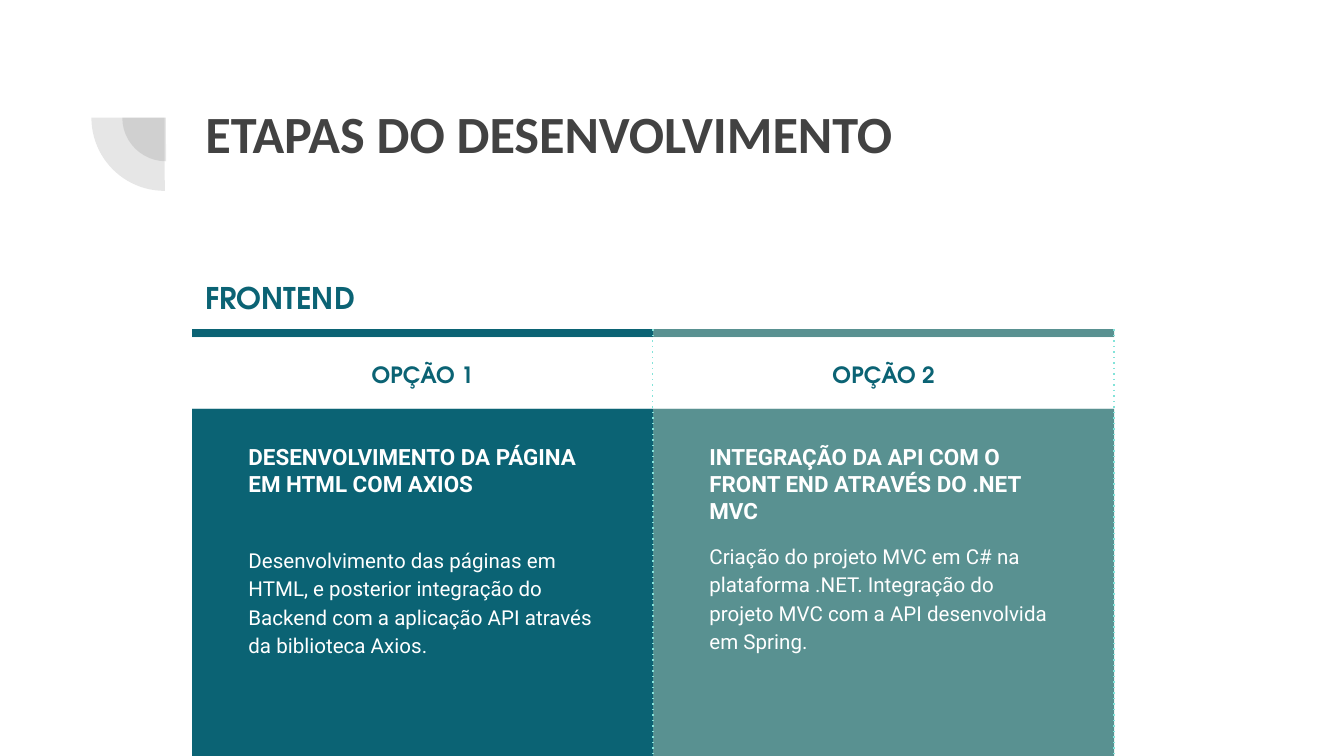
"""Builds the development stages slide with two frontend options."""
from lxml.etree import SubElement
from pptx import Presentation
from pptx.dml.color import RGBColor as RGB
from pptx.enum.shapes import MSO_CONNECTOR as Conn, MSO_SHAPE as Shape
from pptx.enum.text import MSO_ANCHOR as Anchor, PP_ALIGN as Align
from pptx.oxml.ns import qn
from pptx.util import Inches, Pt

COLORS = {"gray": "424242", "teal": "0B6374", "sage": "599191", "mint": "83E3D9", "white": "FFFFFF"}
HEAD, BODY = "TeX Gyre Adventor", "Roboto"
WIDTH = 10
HEIGHT = WIDTH * 9 / 16
LEFT, COL, PAD = 1.43, 3.43, 0.32
BAR_TOP, HEAD_TOP, PANEL_TOP, PANEL_END = 2.45, 2.51, 3.04, 5.64
OPTIONS = [
    ("OPÇÃO 1", "teal", "DESENVOLVIMENTO DA PÁGINA EM HTML COM AXIOS", 3.95, 16,
     "Desenvolvimento das páginas em HTML, e posterior integração do Backend "
     "com a aplicação API através da biblioteca Axios."),
    ("OPÇÃO 2", "sage", "INTEGRAÇÃO DA API COM O FRONT END ATRAVÉS DO .NET MVC", 3.92, 0,
     "Criação do projeto MVC em C# na plataforma .NET. Integração do projeto "
     "MVC com a API desenvolvida em Spring."),
]

prs = Presentation()
prs.slide_width, prs.slide_height = Inches(WIDTH), Inches(HEIGHT)
s = prs.slides.add_slide(prs.slide_layouts[6])


def add_block(x, y, w, h, color=None, kind=Shape.RECTANGLE):
    box = [Inches(v) for v in (x, y, w, h)]
    if color is None:
        return s.shapes.add_textbox(*box)
    sp = s.shapes.add_shape(kind, *box)
    sp.shadow.inherit = False
    sp.fill.solid()
    sp.fill.fore_color.rgb = RGB.from_string(COLORS[color])
    sp.line.fill.background()
    return sp


def write(sp, text, size, font, color, bold=True, spacing=None):
    tf = sp.text_frame
    tf.word_wrap = True
    tf.margin_left = tf.margin_right = tf.margin_top = tf.margin_bottom = Inches(0.1)
    p = tf.paragraphs[0]
    p.line_spacing = spacing
    r = p.add_run()
    r.text = text
    r.font.size, r.font.name, r.font.bold = Pt(size), font, bold
    r.font.color.rgb = RGB.from_string(COLORS[color])
    return p


for x, y, size in ((0.91, 0.55, 0.65), (0.68, 0.33, 1.09)):
    sp = add_block(x, y, size, size, "gray", Shape.PIE)
    sp.rotation = 270
    sp.adjustments[0], sp.adjustments[1] = 107.93, 162
    fill = sp.fill.fore_color._xFill.find(qn("a:srgbClr"))
    SubElement(fill, qn("a:alpha")).set("val", "13000")

write(add_block(LEFT, 0.65, 7.69, 1.09), "ETAPAS DO DESENVOLVIMENTO", 28, "Calibri", "gray")

for i, (label, color, heading, body_top, after, body) in enumerate(OPTIONS):
    x = LEFT + i * COL
    inner, inner_w = x + PAD, COL - 2 * PAD
    add_block(x, PANEL_TOP, COL, PANEL_END - PANEL_TOP, color)
    add_block(x, BAR_TOP, COL, HEAD_TOP - BAR_TOP, color)
    write(add_block(inner, 3.2, inner_w, 0.9), heading, 12, BODY, "white")
    sp = add_block(inner, body_top, inner_w, 5.36 - body_top)
    p = write(sp, body, 11, BODY, "white", False, 1.15)
    p.space_after = Pt(after)

for i, option in enumerate(OPTIONS):
    x = LEFT + i * COL
    sp = add_block(x, HEAD_TOP, COL, PANEL_TOP - HEAD_TOP, "white")
    p = write(sp, option[0], 12, HEAD, "teal", spacing=1.15)
    p.alignment = Align.CENTER
    sp.text_frame.vertical_anchor = Anchor.MIDDLE
    edge = Inches(x + COL)
    line = s.shapes.add_connector(Conn.STRAIGHT, edge, Inches(BAR_TOP), edge, Inches(PANEL_END))
    line.line.color.rgb = RGB.from_string(COLORS["mint"])
    line.line.width = Pt(0.75)
    SubElement(line.line._ln, qn("a:prstDash")).set("val", "dot")
    SubElement(line._element.spPr, qn("a:effectLst"))

write(add_block(LEFT, 1.98, 1.79, 0.47), "FRONTEND", 16, HEAD, "teal")

prs.save("out.pptx")
